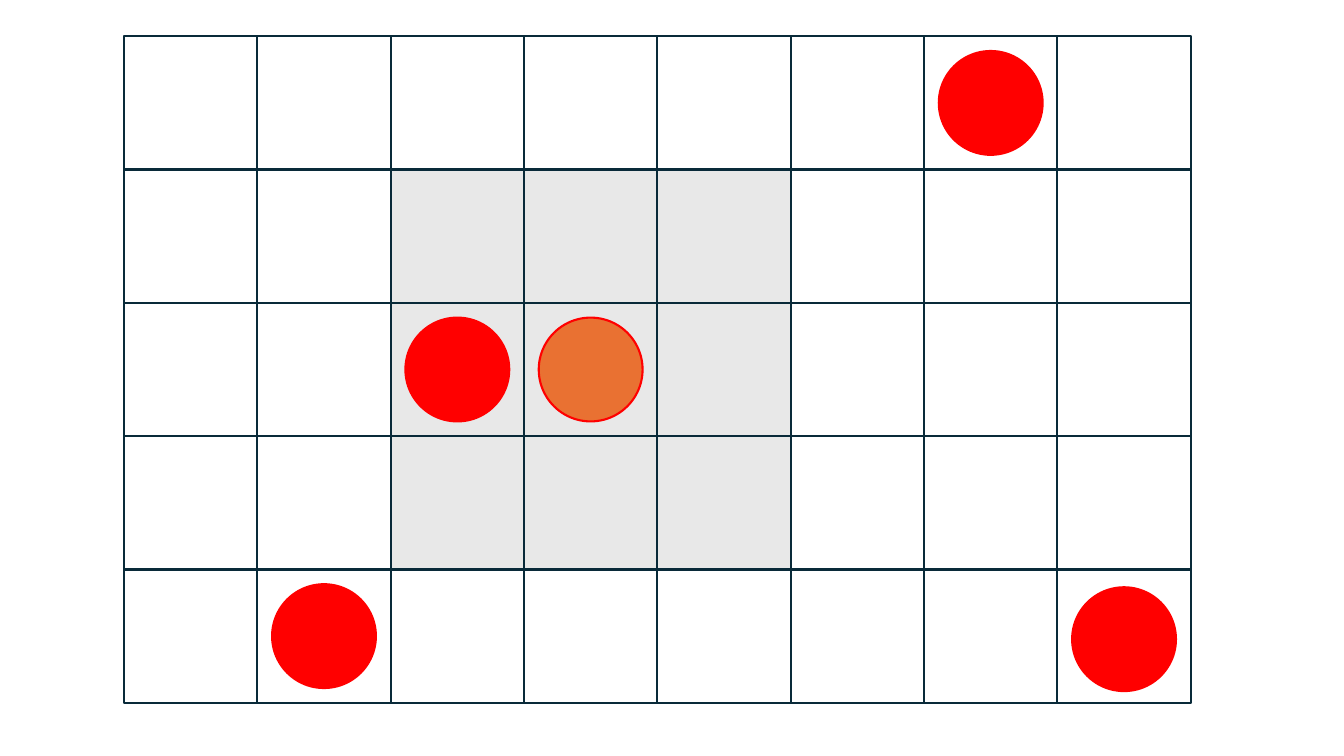
from pptx import Presentation
from pptx.dml.color import RGBColor
from pptx.enum.shapes import MSO_SHAPE
from pptx.util import Inches, Pt

RECTANGLE, OVAL = MSO_SHAPE.RECTANGLE, MSO_SHAPE.OVAL
THEME = {
    "grid": RGBColor.from_string("092A39"),
    "neighbourhood": RGBColor.from_string("E8E8E8"),
    "red": RGBColor.from_string("FF0000"),
    "orange": RGBColor.from_string("E97132"),
    "line": Pt(1.5),
}

# Grid measures in inches
COLUMNS, ROWS = 8, 5
LEFT, TOP = 1.23, 0.36
CELL = 10.58 / COLUMNS
DIAMETER = 1.03
INSET = (CELL - DIAMETER) / 2

presentation = Presentation()
presentation.slide_width, presentation.slide_height = Inches(13.33), Inches(7.5)
slide = presentation.slides.add_slide(presentation.slide_layouts[6])
board = slide.shapes.add_group_shape()


def add_piece(kind, left, top, size, fill, line):
    shape = board.shapes.add_shape(
        kind, Inches(left), Inches(top), Inches(size), Inches(size))
    shape.shadow.inherit = False
    if fill is None:
        shape.fill.background()
    else:
        shape.fill.solid()
        shape.fill.fore_color.rgb = fill
    shape.line.color.rgb = line
    shape.line.width = THEME["line"]


# Cells, with the neighbourhood around the orange disc shaded
center_column, center_row = 3, 2
for row in range(ROWS):
    for column in range(COLUMNS):
        near = abs(column - center_column) <= 1 and abs(row - center_row) <= 1
        add_piece(RECTANGLE, LEFT + column * CELL, TOP + row * CELL, CELL,
                  THEME["neighbourhood"] if near else None, THEME["grid"])

# Discs: column, row, fill, extra drop in inches
discs = [
    (6, 0, "red", 0),
    (2, 2, "red", 0),
    (center_column, center_row, "orange", 0),
    (7, 4, "red", 0.03),
    (1, 4, "red", 0),
]
for column, row, colour, drop in discs:
    add_piece(OVAL, LEFT + column * CELL + INSET, TOP + row * CELL + INSET + drop,
              DIAMETER, THEME[colour], THEME["red"])

presentation.save("out.pptx")
